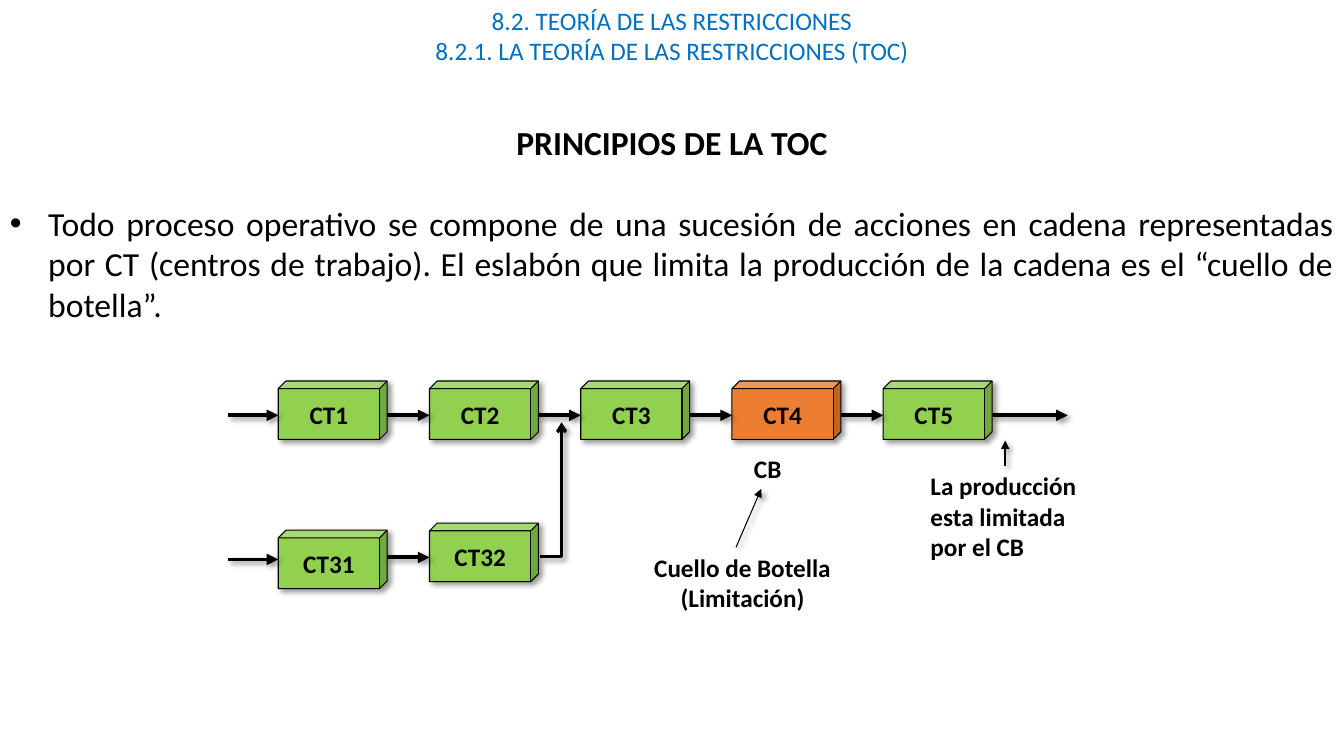
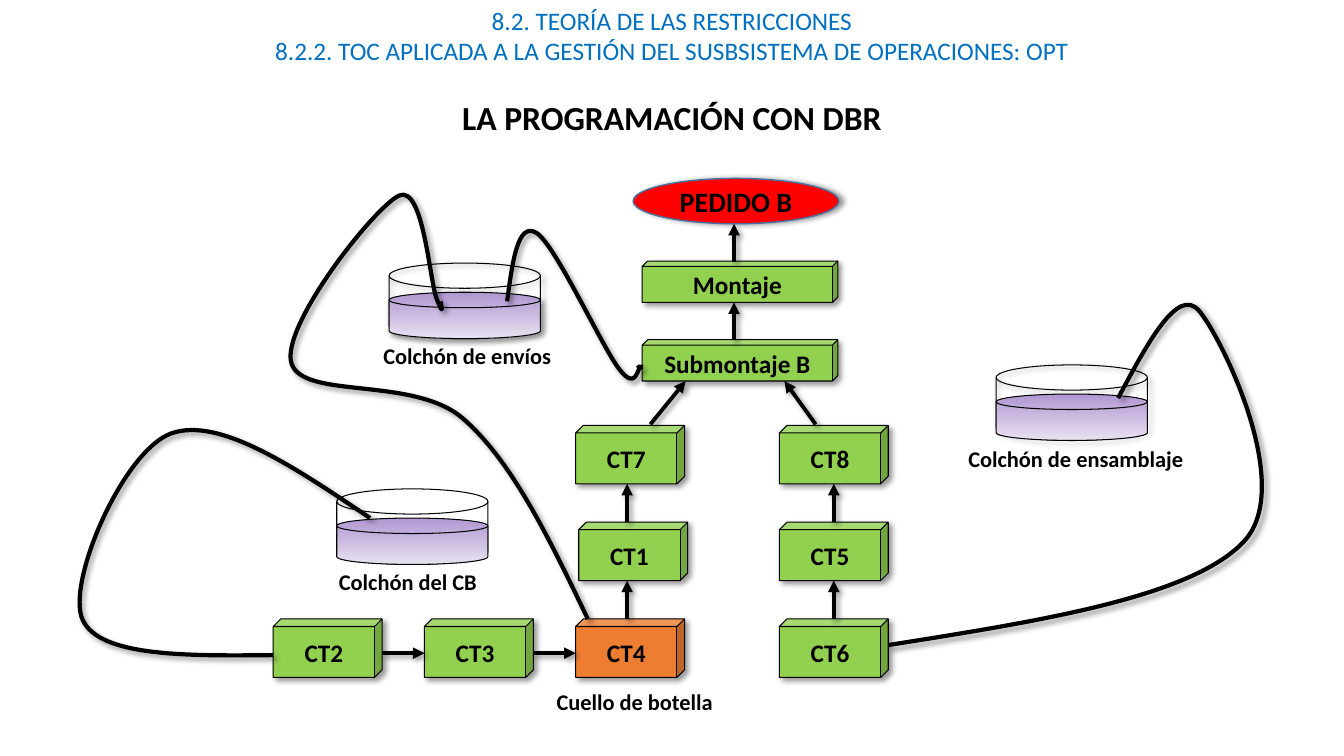
"""Builds two slides on the theory of constraints: its principles and DBR scheduling."""
from lxml import etree
from pptx import Presentation
from pptx.dml.color import RGBColor
from pptx.enum.shapes import MSO_CONNECTOR, MSO_SHAPE
from pptx.enum.text import MSO_ANCHOR, PP_ALIGN
from pptx.oxml.ns import qn
from pptx.util import Inches, Pt

FONT = "Calibri"
BLACK = RGBColor(0x00, 0x00, 0x00)
BLUE = RGBColor(0x00, 0x70, 0xC0)
GREEN = RGBColor(0x92, 0xD0, 0x50)
ORANGE = RGBColor(0xED, 0x7D, 0x31)
RED = RGBColor(0xFF, 0x00, 0x00)
STEEL = RGBColor(0x43, 0x73, 0x9E)
LILAC = RGBColor(0xB1, 0x97, 0xD2)
PALE_LILAC = RGBColor(0xE7, 0xE1, 0xF0)
LEFT, CENTER, JUSTIFY = PP_ALIGN.LEFT, PP_ALIGN.CENTER, PP_ALIGN.JUSTIFY
MIDDLE = MSO_ANCHOR.MIDDLE
CUBE, OVAL, DISK = MSO_SHAPE.CUBE, MSO_SHAPE.OVAL, MSO_SHAPE.FLOWCHART_MAGNETIC_DISK
STRAIGHT, ELBOW = MSO_CONNECTOR.STRAIGHT, MSO_CONNECTOR.ELBOW

WIDTH, HEIGHT = 13.33, 7.5
HEADING_ROW, HEADING_HEIGHT = 0.3, 0.4
COLUMN, ROW = 1.5, 0.96
CENTRE_SIZE = (1.08, 0.58)
ASSEMBLY_SIZE = (1.94, 0.41)
FACE_AXIS = 0.34
CHAIN_LEFT, CHAIN_TOP = 2.76, 3.78
CHAIN_AXIS = CHAIN_TOP + FACE_AXIS
TREE_LEFT, TREE_TOP = 2.71, 4.22
MAIN_LEFT, SIDE_LEFT, ASSEMBLY_LEFT = TREE_LEFT + 2 * COLUMN, 7.73, 6.37
MAIN_AXIS, SIDE_AXIS, ORDER_AXIS = 6.22, 8.27, 7.28
TANK_WIDTH, TANK_HEIGHT, LIQUID_HEIGHT = 1.5, 0.75, 0.46
THIN, MEDIUM, ELBOW_WEIGHT, THICK, ROPE_WEIGHT = 0.75, 1.5, 2.25, 2.75, 3


def write(paragraph, text, size, color=BLACK, bold=True, alignment=CENTER):
    paragraph.alignment = alignment
    run = paragraph.add_run()
    run.text = text
    run.font.name = FONT
    run.font.size = Pt(size)
    run.font.bold = bold
    run.font.color.rgb = color


def outline(shape, weight, color=BLACK, shadow=True, angle=45):
    shape.line.color.rgb = color
    shape.line.width = Pt(weight)
    effects = etree.SubElement(shape._element.spPr, qn("a:effectLst"))
    if shadow:
        outer = etree.SubElement(effects, qn("a:outerShdw"), blurRad=str(Pt(4)),
                                 dist=str(Pt(3)), dir=str(angle * 60000), rotWithShape="0")
        tone = etree.SubElement(outer, qn("a:srgbClr"), val=str(BLACK))
        etree.SubElement(tone, qn("a:alpha"), val="40000")


presentation = Presentation()
presentation.slide_width, presentation.slide_height = Inches(WIDTH), Inches(HEIGHT)
blank = presentation.slide_layouts[6]
chain = presentation.slides.add_slide(blank)
tree = presentation.slides.add_slide(blank)

chapter = "8.2. TEORÍA DE LAS RESTRICCIONES"
headings = [
    (tree, "8.2.2. TOC APLICADA A LA GESTIÓN DEL SUSBSISTEMA DE OPERACIONES: OPT",
     "LA PROGRAMACIÓN CON DBR", 0.91, 0.5),
    (chain, "8.2.1. LA TEORÍA DE LAS RESTRICCIONES (TOC)", "PRINCIPIOS DE LA TOC", 1.16, 2.12),
]
for slide, section, title, title_top, title_height in headings:
    lines = [
        (chapter, 0, HEADING_HEIGHT, 18, BLUE, False),
        (section, HEADING_ROW, HEADING_HEIGHT, 18, BLUE, False),
        (title, title_top, title_height, 24, BLACK, True),
    ]
    for text, top, height, size, color, bold in lines:
        body = slide.shapes.add_textbox(0, Inches(top), Inches(WIDTH), Inches(height))
        body.text_frame.word_wrap = True
        write(body.text_frame.paragraphs[0], text, size, color, bold)

principle = body.text_frame.add_paragraph()
write(principle, "Todo proceso operativo se compone de una sucesión de acciones en cadena "
      "representadas por CT (centros de trabajo). El eslabón que limita la producción de la "
      "cadena es el “cuello de botella”.", 24, bold=False, alignment=JUSTIFY)
principle.space_before = Pt(29)
bullet = principle._p.get_or_add_pPr()
bullet.set("marL", str(Inches(0.38)))
bullet.set("indent", str(-Inches(0.38)))
etree.SubElement(bullet, qn("a:buFont"), typeface="Arial")
etree.SubElement(bullet, qn("a:buChar"), char="•")

chain_boxes = {name: (CHAIN_LEFT + column * COLUMN, CHAIN_TOP, *CENTRE_SIZE)
               for column, name in enumerate(["CT1", "CT2", "CT3", "CT4", "CT5"])}
chain_boxes["CT31"] = (CHAIN_LEFT, 5.26, *CENTRE_SIZE)
chain_boxes["CT32"] = (CHAIN_LEFT + COLUMN, 5.19, *CENTRE_SIZE)

tree_boxes = {name: (TREE_LEFT + column * COLUMN, TREE_TOP + 2 * ROW, *CENTRE_SIZE)
              for column, name in enumerate(["CT2", "CT3", "CT4"])}
for row, (main, side) in enumerate([("CT7", "CT8"), ("CT1", "CT5"), (None, "CT6")]):
    if main:
        tree_boxes[main] = (MAIN_LEFT, TREE_TOP + row * ROW, *CENTRE_SIZE)
    tree_boxes[side] = (SIDE_LEFT, TREE_TOP + row * ROW, *CENTRE_SIZE)
tree_boxes["CT1"] = (MAIN_LEFT + 0.03, TREE_TOP + ROW, *CENTRE_SIZE)
tree_boxes["Submontaje B"] = (ASSEMBLY_LEFT, 3.37, *ASSEMBLY_SIZE)
tree_boxes["Montaje"] = (ASSEMBLY_LEFT, 2.59, *ASSEMBLY_SIZE)

for slide, boxes in [(chain, chain_boxes), (tree, tree_boxes)]:
    for name, bounds in boxes.items():
        cube = slide.shapes.add_shape(CUBE, *[Inches(length) for length in bounds])
        cube.adjustments[0] = 0.13
        cube.fill.solid()
        cube.fill.fore_color.rgb = ORANGE if name == "CT4" else GREEN
        outline(cube, THIN)
        cube.text_frame.word_wrap = False
        cube.text_frame.vertical_anchor = MIDDLE
        write(cube.text_frame.paragraphs[0], name, 18)

order = tree.shapes.add_shape(OVAL, Inches(6.28), Inches(1.77), Inches(2.04), Inches(0.45))
order.fill.solid()
order.fill.fore_color.rgb = RED
outline(order, 1, STEEL, angle=0)
order.text_frame.vertical_anchor = MIDDLE
write(order.text_frame.paragraphs[0], "PEDIDO B", 20)

buffers = [(9.88, 3.62, True, False), (3.86, 2.61, True, True), (3.34, 4.85, False, False)]
for left, top, tank_shadow, liquid_shadow in buffers:
    tank = tree.shapes.add_shape(DISK, Inches(left), Inches(top),
                                 Inches(TANK_WIDTH), Inches(TANK_HEIGHT))
    tank.fill.background()
    outline(tank, THIN, shadow=tank_shadow)
    liquid = tree.shapes.add_shape(DISK, Inches(left), Inches(top + TANK_HEIGHT - LIQUID_HEIGHT),
                                   Inches(TANK_WIDTH), Inches(LIQUID_HEIGHT))
    liquid.fill.gradient()
    liquid.fill.gradient_angle = 270
    for stop, color in zip(liquid.fill.gradient_stops, [LILAC, PALE_LILAC]):
        stop.color.rgb = color
    outline(liquid, THIN, shadow=liquid_shadow)

ropes = {
    "bottleneck buffer to CT2": [(3.67, 5.14), (1.7, 4.3), (0.82, 6.15), (2.71, 6.5)],
    "CT4 to shipping buffer": [(5.83, 6.14), (4.59, 4.15), (2.89, 3.6), (3.96, 1.94),
                               (4.33, 2.96), (4.37, 2.99)],
    "shipping buffer to subassembly": [(5.03, 2.99), (5.32, 2.31), (6.14, 3.66),
                                       (6.35, 3.65), (6.33, 3.64), (6.38, 3.64)],
    "CT6 to assembly buffer": [(8.81, 6.4), (12.34, 5.37), (11.89, 3.08), (11.09, 3.95)],
}
for knots in ropes.values():
    inner = []
    for (before_x, before_y), (x, y), (after_x, after_y) in zip(knots, knots[1:], knots[2:]):
        pull_x, pull_y = (after_x - before_x) / 6, (after_y - before_y) / 6
        inner += [(x - pull_x, y - pull_y), (x, y), (x + pull_x, y + pull_y)]
    first_handle, last_handle = [((end[0] + handle[0]) / 2, (end[1] + handle[1]) / 2)
                                 for end, handle in [(knots[0], inner[0]), (knots[-1], inner[-1])]]
    outline_points = [knots[0], first_handle, *inner, last_handle, knots[-1]]
    start, *rest = [(Inches(x), Inches(y)) for x, y in outline_points]
    builder = tree.shapes.build_freeform(*start)
    builder.add_line_segments(rest, close=False)
    rope = builder.convert_to_shape()
    rope.fill.background()
    outline(rope, ROPE_WEIGHT)
    segments = list(rope._element.iter(qn("a:lnTo")))
    for triple in zip(segments[::3], segments[1::3], segments[2::3]):
        curve = etree.Element(qn("a:cubicBezTo"))
        triple[0].addprevious(curve)
        for segment in triple:
            curve.append(segment[0])
            segment.getparent().remove(segment)

arrows = [
    (chain, 2.26, CHAIN_AXIS, CHAIN_LEFT, CHAIN_AXIS, THICK, STRAIGHT),
    (chain, 9.84, CHAIN_AXIS, 10.59, CHAIN_AXIS, THICK, STRAIGHT),
    (chain, 2.26, 5.55, CHAIN_LEFT, 5.55, THICK, STRAIGHT),
    (chain, 7.3, 5.43, 7.55, 4.85, THIN, STRAIGHT),
    (chain, 9.97, 4.62, 9.97, 4.37, MEDIUM, STRAIGHT),
    (chain, 5.36, 5.52, 5.57, 4.19, ELBOW_WEIGHT, ELBOW),
    (tree, ORDER_AXIS, 2.6, ORDER_AXIS, 2.22, THICK, STRAIGHT),
    (tree, 6.45, 4.21, 6.8, 3.78, THICK, STRAIGHT),
    (tree, 8.09, 4.21, 7.78, 3.78, THICK, STRAIGHT),
]
rightward = [
    (chain, chain_boxes, ["CT1", "CT2", "CT3", "CT4", "CT5"]),
    (chain, chain_boxes, ["CT31", "CT32"]),
    (tree, tree_boxes, ["CT2", "CT3", "CT4"]),
]
for slide, boxes, names in rightward:
    for source, target in zip(names, names[1:]):
        source_left, _, source_width, _ = boxes[source]
        target_left, target_top, _, _ = boxes[target]
        axis = target_top + FACE_AXIS
        arrows.append((slide, source_left + source_width, axis, target_left, axis, THICK, STRAIGHT))
upward = [
    (MAIN_AXIS, ["CT4", "CT1", "CT7"]),
    (SIDE_AXIS, ["CT6", "CT5", "CT8"]),
    (ORDER_AXIS, ["Submontaje B", "Montaje"]),
]
for axis, names in upward:
    for source, target in zip(names, names[1:]):
        _, source_top, _, _ = tree_boxes[source]
        _, target_top, _, target_height = tree_boxes[target]
        arrows.append((tree, axis, source_top, axis, target_top + target_height, THICK, STRAIGHT))

for slide, start_x, start_y, end_x, end_y, weight, kind in arrows:
    arrow = slide.shapes.add_connector(kind, Inches(start_x), Inches(start_y),
                                       Inches(end_x), Inches(end_y))
    outline(arrow, weight)
    properties = arrow._element.spPr
    head = "triangle"
    if kind == ELBOW:
        head = "arrow"
        properties.find(qn("a:prstGeom")).set("prst", "bentConnector2")
    etree.SubElement(properties.find(qn("a:ln")), qn("a:tailEnd"), type=head)

labels = [
    (chain, "La producción esta limitada por el CB", 9.13, 4.62, 1.75, 1, 18, LEFT),
    (chain, "Cuello de Botella (Limitación)", 6.28, 5.43, 2.17, 0.7, 18, CENTER),
    (chain, "CB", 7.38, 4.45, 0.67, 0.4, 18, LEFT),
    (tree, "Cuello de botella", 5.32, 6.78, 1.95, 0.37, 16, CENTER),
    (tree, "Colchón del CB", 3.07, 5.59, 1.95, 0.37, 16, CENTER),
    (tree, "Colchón de envíos", 3.66, 3.35, 1.95, 0.37, 16, CENTER),
    (tree, "Colchón de ensamblaje", 9.45, 4.37, 2.44, 0.37, 16, CENTER),
]
for slide, text, left, top, width, height, size, alignment in labels:
    label = slide.shapes.add_textbox(Inches(left), Inches(top), Inches(width), Inches(height))
    label.text_frame.word_wrap = True
    write(label.text_frame.paragraphs[0], text, size, alignment=alignment)

presentation.save("out.pptx")
